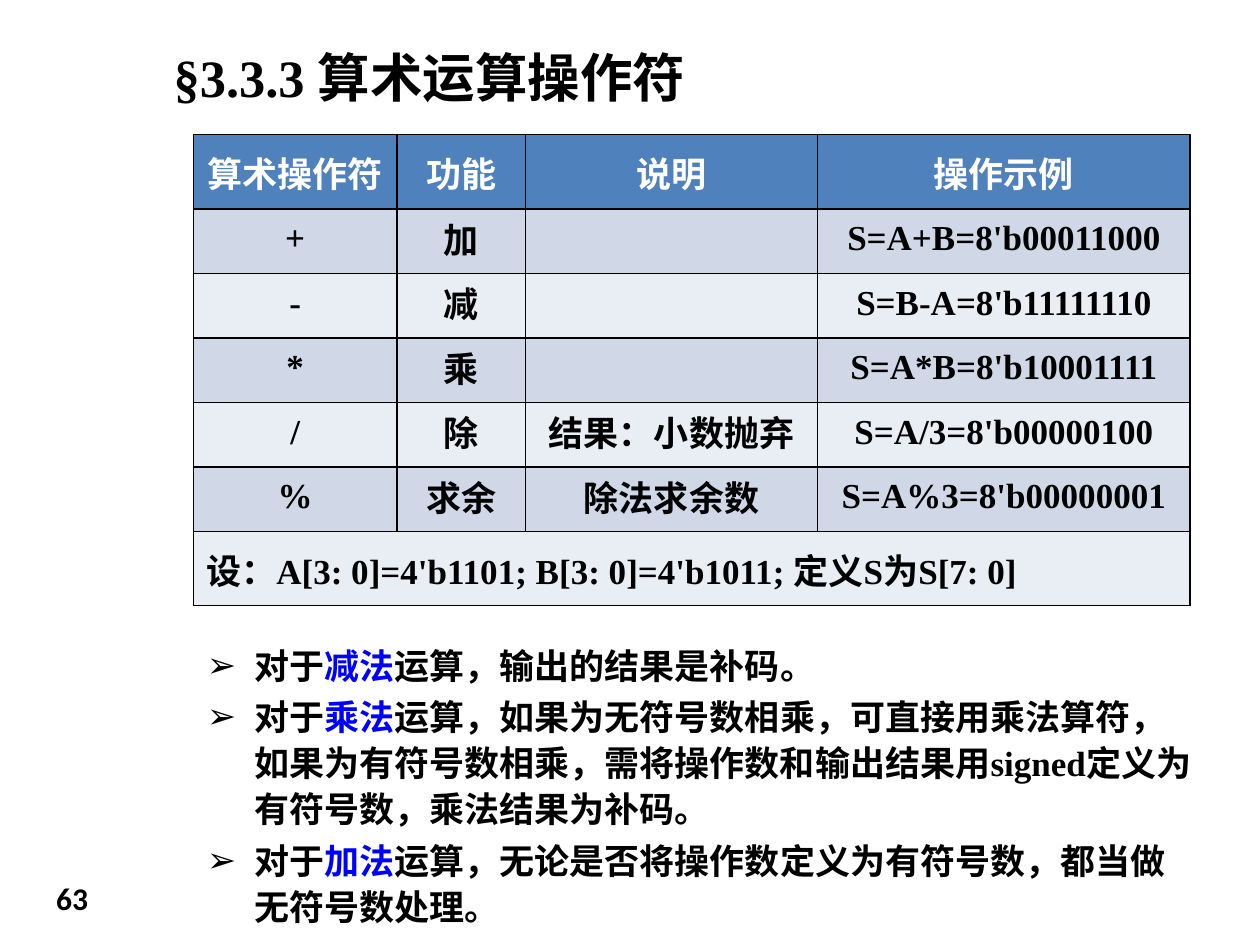
from dataclasses import dataclass

from lxml.etree import SubElement
from pptx import Presentation
from pptx.dml.color import RGBColor as Color
from pptx.enum.text import MSO_ANCHOR as Anchor, MSO_AUTO_SIZE as AutoSize, PP_ALIGN as Align
from pptx.oxml.ns import qn
from pptx.util import Pt


@dataclass(frozen=True)
class Theme:
    serif: str = "Times New Roman"
    sans: str = "Calibri"
    black: str = "000000"
    white: str = "FFFFFF"
    accent: str = "0000FF"
    header: str = "4F81BD"
    bands: tuple = ("E9EDF4", "D0D8E8")
    title_size: int = 30
    text_size: int = 20
    number_size: int = 18


theme = Theme()


def write(para, text, font=theme.serif, size=theme.text_size, color=theme.black, align=Align.LEFT):
    para.alignment = align
    span = para.add_run()
    span.text = text
    span.font.name = font
    span.font.size = Pt(size)
    span.font.bold = True
    span.font.color.rgb = Color.from_string(color)


def add_border(cell):
    properties = cell._tc.get_or_add_tcPr()
    for side in ("lnL", "lnR", "lnT", "lnB"):
        line = SubElement(properties, qn(f"a:{side}"), w=str(Pt(1)))
        fill = SubElement(line, qn("a:solidFill"))
        SubElement(fill, qn("a:srgbClr"), val=theme.black)


deck = Presentation()
deck.slide_width, deck.slide_height = Pt(720), Pt(540)
page = deck.slides.add_slide(deck.slide_layouts[1])

title = page.shapes.title
title.left, title.top, title.width, title.height = Pt(92), Pt(21), Pt(551), Pt(45)
title.text_frame.auto_size = AutoSize.NONE
title.text_frame.vertical_anchor = Anchor.MIDDLE
write(title.text_frame.paragraphs[0], "§3.3.3 算术运算操作符", size=theme.title_size)

rows = [
    ("算术操作符", "功能", "说明", "操作示例"),
    ("+", "加", "", "S=A+B=8'b00011000"),
    ("-", "减", "", "S=B-A=8'b11111110"),
    ("*", "乘", "", "S=A*B=8'b10001111"),
    ("/", "除", "结果：小数抛弃", "S=A/3=8'b00000100"),
    ("%", "求余", "除法求余数", "S=A%3=8'b00000001"),
    ("设：A[3: 0]=4'b1101; B[3: 0]=4'b1011; 定义S为S[7: 0]", "", "", ""),
]
last = len(rows) - 1
column_widths = (116.2, 73.5, 167, 212.8)
row_heights = [42.4] + [36.9] * (last - 1) + [42.4]
table = page.shapes.add_table(
    len(rows), len(column_widths), Pt(110.6), Pt(77), Pt(sum(column_widths)), Pt(sum(row_heights))
).table
for column, width in zip(table.columns, column_widths):
    column.width = Pt(width)
for row, height in zip(table.rows, row_heights):
    row.height = Pt(height)
table.cell(last, 0).merge(table.cell(last, len(column_widths) - 1))

for row_index, texts in enumerate(rows):
    is_header = row_index == 0
    for column_index, text in enumerate(texts):
        cell = table.cell(row_index, column_index)
        add_border(cell)
        cell.fill.solid()
        cell.fill.fore_color.rgb = Color.from_string(theme.header if is_header else theme.bands[row_index % 2])
        cell.vertical_anchor = Anchor.MIDDLE
        if text:
            para = cell.text_frame.paragraphs[0]
            if 0 < row_index < last:
                para.line_spacing = 0.8
            write(
                para,
                text,
                color=theme.white if is_header else theme.black,
                align=Align.LEFT if row_index == last else Align.CENTER,
            )

notes = [
    ("减法", "运算，输出的结果是补码。"),
    (
        "乘法",
        "运算，如果为无符号数相乘，可直接用乘法算符，如果为有符号数相乘，"
        "需将操作数和输出结果用signed定义为有符号数，乘法结果为补码。",
    ),
    ("加法", "运算，无论是否将操作数定义为有符号数，都当做无符号数处理。"),
]
body = page.placeholders[1]
body.left, body.top, body.width, body.height = Pt(111), Pt(362), Pt(578), Pt(173.5)
body.text_frame.auto_size = AutoSize.SHAPE_TO_FIT_TEXT
for index, (keyword, explanation) in enumerate(notes):
    para = body.text_frame.add_paragraph() if index else body.text_frame.paragraphs[0]
    properties = para._p.get_or_add_pPr()
    properties.set("marL", str(Pt(27)))
    properties.set("indent", str(Pt(-27)))
    bullet_color = SubElement(properties, qn("a:buClr"))
    SubElement(bullet_color, qn("a:srgbClr"), val=theme.black)
    SubElement(properties, qn("a:buChar"), char="➢")
    para.line_spacing = 1.1
    para.space_before = Pt(0)
    para.space_after = Pt(3)
    write(para, "对于")
    write(para, keyword, color=theme.accent)
    write(para, explanation)

number = page.shapes.add_textbox(Pt(25), Pt(497), Pt(45), Pt(32))
number.text_frame.word_wrap = True
number.text_frame.vertical_anchor = Anchor.MIDDLE
write(number.text_frame.paragraphs[0], "63", font=theme.sans, size=theme.number_size)

deck.save("out.pptx")
